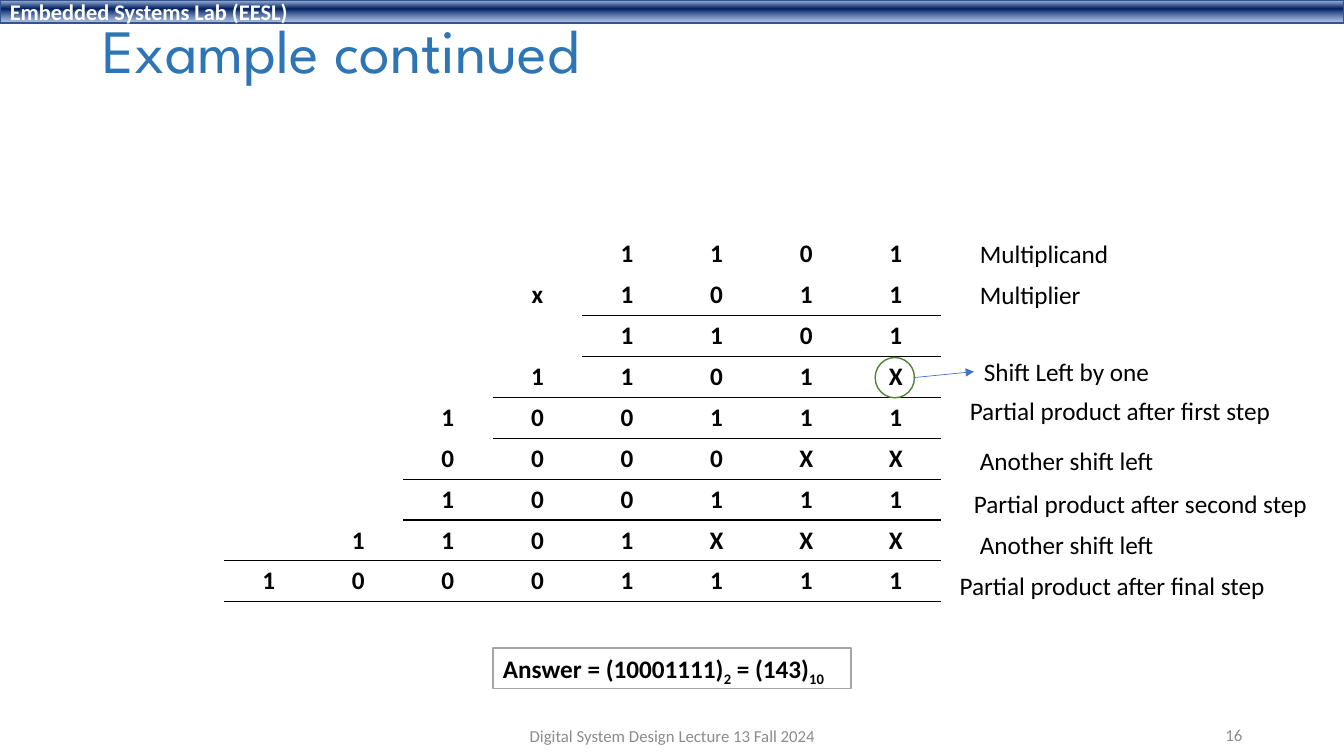
from lxml import etree
from pptx import Presentation, util as u
from pptx.dml.color import RGBColor
from pptx.enum import shapes, text
from pptx.oxml import ns

BLACK, WHITE = RGBColor(0, 0, 0), RGBColor(255, 255, 255)
NAVY_EDGE = RGBColor(0x32, 0x54, 0x91)
TITLE_BLUE = RGBColor(0x2E, 0x75, 0xB6)
ARROW_BLUE = RGBColor(0x44, 0x72, 0xC4)
RING_GREEN = RGBColor(0x54, 0x82, 0x35)
BOX_GRAY = RGBColor(0xA5, 0xA5, 0xA5)
FOOTER_GRAY = RGBColor(0x8C, 0x8C, 0x8C)
WIDTH, HEIGHT = 13.33, 7.5
COLUMNS = 8
NO_GRID_STYLE = "{2D5ABB26-0587-4C30-8999-92F81FD0307C}"
HEADER_STOPS = [(2, "ABC0E4", 100), (38, "002060", 100), (93, "7E9ED6", 64)]

WORKING = ["1101", "x1011", "1101", "1101X", "100111", "0000XX",
           "100111", "1101XXX", "10001111"]
RULE_SPANS = {1: 4, 3: 5, 5: 6, 7: 8, 8: 8}
STEP_LABELS = [
    (0, 0.29, 0, 1.49, "Multiplicand"),
    (1, 0.29, 0, 1.21, "Multiplier"),
    (3, 0.33, -0.05, 1.87, "Shift Left by one"),
    (4, 0.19, -0.07, 3.22, "Partial product after first step"),
    (5, 0.29, 0.02, 1.95, "Another shift left"),
    (6, 0.23, 0.04, 3.55, "Partial product after second step"),
    (7, 0.29, 0.04, 1.95, "Another shift left"),
    (8, 0.09, 0.04, 3.27, "Partial product after final step"),
]


def inches(*lengths):
    """Convert lengths in inches to slide units."""
    return [u.Inches(length) for length in lengths]


def add_xml(parent, tag, **attributes):
    """Append a drawing element to a parent."""
    return etree.SubElement(parent, ns.qn(tag), attributes)


def style(paragraph, size, color, bold=False, font="Calibri", align=text.PP_ALIGN.LEFT):
    """Set the font and alignment of a whole paragraph."""
    paragraph.alignment = align
    paragraph.font.name, paragraph.font.size = font, u.Pt(size)
    paragraph.font.bold, paragraph.font.color.rgb = bold, color


def write(slide, box, words, size, color, wrap=True, anchor=text.MSO_ANCHOR.MIDDLE, **look):
    """Place one paragraph of text in a box and return the paragraph."""
    frame = slide.shapes.add_textbox(*inches(*box)).text_frame
    frame.word_wrap, frame.vertical_anchor = wrap, anchor
    paragraph = frame.paragraphs[0]
    paragraph.text = words
    style(paragraph, size, color, **look)
    return paragraph


def add_outline(slide, kind, box, color):
    """Add an unfilled preset shape with a one-point outline."""
    outline = slide.shapes.add_shape(kind, *inches(*box))
    outline.shadow.inherit = False
    outline.fill.background()
    outline.line.color.rgb, outline.line.width = color, u.Pt(1)
    return outline


def add_header(slide, box):
    """Draw the gradient band with the lab name."""
    band = add_outline(slide, shapes.MSO_SHAPE.RECTANGLE, box, NAVY_EDGE)
    band.fill.gradient()
    gradient = band.fill._xPr.find(ns.qn("a:gradFill"))
    for child in list(gradient):
        gradient.remove(child)
    stops = add_xml(gradient, "a:gsLst")
    for position, color, opacity in HEADER_STOPS:
        stop = add_xml(stops, "a:gs", pos=str(position * 1000))
        shade = add_xml(stop, "a:srgbClr", val=color)
        add_xml(shade, "a:alpha", val=str(opacity * 1000))
    add_xml(gradient, "a:lin", ang="5400000", scaled="0")
    band.text_frame.vertical_anchor = text.MSO_ANCHOR.MIDDLE
    lab_name = band.text_frame.paragraphs[0]
    lab_name.text = "Embedded Systems Lab (EESL)"
    style(lab_name, 16, WHITE, bold=True)


def add_rule(cell, tag):
    """Draw a black one-point border on one side of a cell."""
    rule = etree.Element(ns.qn(tag), w="12700")
    add_xml(add_xml(rule, "a:solidFill"), "a:srgbClr", val=str(BLACK))
    properties = cell._tc.get_or_add_tcPr()
    properties.insert(len(properties.findall(ns.qn("a:lnT"))), rule)


def add_working(slide, box):
    """Lay out the long multiplication, right-aligned by digit."""
    table = slide.shapes.add_table(len(WORKING), COLUMNS, *inches(*box)).table
    table.first_row = table.horz_banding = False
    table._tbl.tblPr.find(ns.qn("a:tableStyleId")).text = NO_GRID_STYLE
    for row, digits in enumerate(WORKING):
        for column, digit in enumerate(digits.rjust(COLUMNS)):
            cell = table.cell(row, column)
            cell.text = digit.strip()
            style(cell.text_frame.paragraphs[0], 18, BLACK, bold=True,
                  align=text.PP_ALIGN.CENTER)
            cell.fill.background()
            if column >= COLUMNS - RULE_SPANS.get(row - 1, 0):
                add_rule(cell, "a:lnT")
            if column >= COLUMNS - RULE_SPANS.get(row, 0):
                add_rule(cell, "a:lnB")


def add_step_labels(slide, box):
    """Name the rows to the right of the working."""
    left, top, width, height = box
    row_height = height / len(WORKING)
    for row, gap, drop, label_width, words in STEP_LABELS:
        place = (left + width + gap, top + row * row_height + drop, label_width, 0.4)
        write(slide, place, words, 18, BLACK, wrap=False, anchor=text.MSO_ANCHOR.TOP)


def add_shift_callout(slide, box):
    """Ring the first shifted digit and point to its label."""
    left, top, width, height = box
    right, ring_top = left + width, top + 3 * height / len(WORKING) + 0.01
    add_outline(slide, shapes.MSO_SHAPE.OVAL, (right - 0.65, ring_top, 0.39, 0.4), RING_GREEN)
    ends = inches(right - 0.27, ring_top + 0.2, right + 0.33, ring_top + 0.14)
    arrow = slide.shapes.add_connector(shapes.MSO_CONNECTOR.STRAIGHT, *ends)
    arrow.line.color.rgb, arrow.line.width = ARROW_BLUE, u.Pt(0.5)
    add_xml(arrow.line._get_or_add_ln(), "a:tailEnd", type="triangle")
    add_xml(arrow._element.spPr, "a:effectLst")


def add_answer(slide, box):
    """Show the boxed result with its number bases as subscripts."""
    frame = add_outline(slide, shapes.MSO_SHAPE.RECTANGLE, box, BOX_GRAY)
    frame.fill.solid()
    frame.fill.fore_color.rgb = WHITE
    frame.text_frame.word_wrap = False
    frame.text_frame.vertical_anchor = text.MSO_ANCHOR.TOP
    result = frame.text_frame.paragraphs[0]
    for value, base in [("Answer = (10001111)", "2"), (" = (143)", "10")]:
        result.add_run().text = value
        subscript = result.add_run()
        subscript.text = base
        subscript.font._element.set("baseline", "-25000")
    style(result, 18, BLACK, bold=True)


def add_footer(slide, box):
    """Write the lecture name and the slide number."""
    left, top, width, height = box
    write(slide, (left, top, 4.5, height), "Digital System Design Lecture 13 Fall 2024",
          12, FOOTER_GRAY, align=text.PP_ALIGN.CENTER)
    write(slide, (left + width - 3, top - 0.01, 3, height), "16",
          12, FOOTER_GRAY, align=text.PP_ALIGN.RIGHT)


def main():
    """Build and save the slide."""
    deck = Presentation()
    deck.slide_width, deck.slide_height = inches(WIDTH, HEIGHT)
    slide = deck.slides.add_slide(deck.slide_layouts[6])
    working_box = (2.22, 2.32, 7.11, 3.65)
    add_header(slide, (0, 0, WIDTH, 0.23))
    title = write(slide, (0.92, 0.15, 11.5, 0.77), "Example continued", 44, TITLE_BLUE,
                  font="League Spartan")
    title.line_spacing = 0.9
    add_working(slide, working_box)
    add_answer(slide, (4.89, 6.43, 3.55, 0.4))
    add_shift_callout(slide, working_box)
    add_step_labels(slide, working_box)
    add_footer(slide, (4.42, 7.1, 8, 0.4))
    deck.save("out.pptx")


if __name__ == "__main__":
    main()
